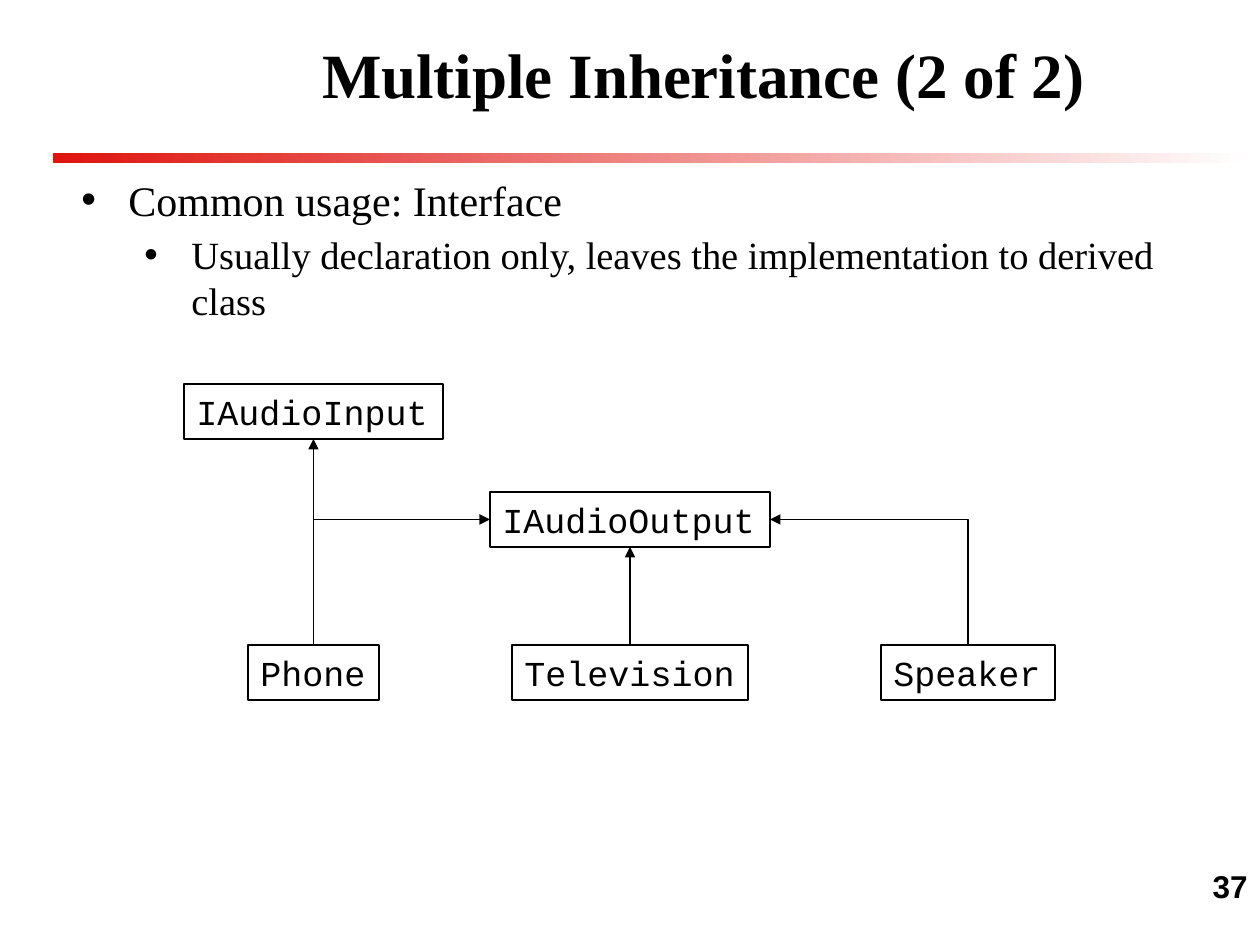
from dataclasses import dataclass

from lxml.etree import SubElement
from pptx import Presentation
from pptx.dml.color import RGBColor
from pptx.enum.shapes import MSO_CONNECTOR as Link, MSO_SHAPE as Shape
from pptx.enum.text import MSO_ANCHOR as Anchor, PP_ALIGN as Align
from pptx.oxml.ns import qn
from pptx.util import Pt

PX = 914400 / 126
BLACK = RGBColor(0x00, 0x00, 0x00)
WHITE = RGBColor(0xFF, 0xFF, 0xFF)
RED = RGBColor(0xDF, 0x14, 0x0F)
SERIF, SANS, MONO = "Times New Roman", "Arial", "Courier New"
BOX_HEIGHT = 55
TOP, LEFT, BOTTOM, RIGHT = range(4)  # connection sites of a rectangle


@dataclass(frozen=True)
class ClassBox:
    name: str
    left: int
    top: int
    width: int


@dataclass(frozen=True)
class Inheritance:
    interface: str
    site: int
    derived: str


@dataclass(frozen=True)
class Bullet:
    text: str
    size: int
    level: int
    margin: int


CLASSES = [
    ClassBox("IAudioInput", 184, 384, 259),
    ClassBox("IAudioOutput", 490, 492, 280),
    ClassBox("Phone", 248, 645, 131),
    ClassBox("Television", 512, 645, 236),
    ClassBox("Speaker", 881, 645, 174),
]
INHERITANCES = [
    Inheritance("IAudioInput", BOTTOM, "Phone"),
    Inheritance("IAudioOutput", LEFT, "Phone"),
    Inheritance("IAudioOutput", BOTTOM, "Television"),
    Inheritance("IAudioOutput", RIGHT, "Speaker"),
]
BULLETS = [
    Bullet("Common usage: Interface", 24, 0, 63),
    Bullet("Usually declaration only, leaves the implementation to derived class",
           22, 1, 126),
]


def px(*lengths: int) -> list[int]:
    return [round(length * PX) for length in lengths]


def write(paragraph, text: str, size: int, face: str, bold: bool = False) -> None:
    run = paragraph.add_run()
    run.text = text
    values = {"name": face, "size": Pt(size), "bold": bold}
    for attribute, value in values.items():
        setattr(run.font, attribute, value)
    run.font.color.rgb = BLACK


def add_text_frame(slide, left: int, top: int, width: int, height: int):
    frame = slide.shapes.add_textbox(*px(left, top, width, height)).text_frame
    frame.word_wrap = True
    return frame


def add_bullet(paragraph, bullet: Bullet) -> None:
    paragraph.level = bullet.level
    paragraph.space_before = Pt(3.6)
    write(paragraph, bullet.text, bullet.size, SERIF)
    properties = paragraph._p.get_or_add_pPr()
    margin, indent = px(bullet.margin, -47)
    properties.set("marL", str(margin))
    properties.set("indent", str(indent))
    SubElement(properties, qn("a:buFont"), typeface=SANS)
    SubElement(properties, qn("a:buChar"), char="•")


def add_class_box(slide, box: ClassBox):
    shape = slide.shapes.add_shape(
        Shape.RECTANGLE, *px(box.left, box.top, box.width, BOX_HEIGHT))
    shape.shadow.inherit = False
    shape.fill.solid()
    shape.fill.fore_color.rgb = WHITE
    shape.line.color.rgb = BLACK
    shape.line.width = Pt(0.75)
    frame = shape.text_frame
    frame.word_wrap = False
    frame.vertical_anchor = Anchor.TOP
    frame.paragraphs[0].alignment = Align.LEFT
    write(frame.paragraphs[0], box.name, 20, MONO)
    return shape


def add_inheritance(slide, link: Inheritance, boxes: dict) -> None:
    straight = link.site == BOTTOM
    kind = Link.STRAIGHT if straight else Link.ELBOW
    arrow = slide.shapes.add_connector(kind, 0, 0, 0, 0)
    arrow.begin_connect(boxes[link.interface], link.site)
    arrow.end_connect(boxes[link.derived], TOP)
    arrow.line.color.rgb = BLACK
    arrow.line.width = Pt(0.75)
    properties = arrow._element.spPr
    if not straight:  # a single corner
        properties.find(qn("a:prstGeom")).set("prst", "bentConnector2")
    SubElement(arrow.line._get_or_add_ln(), qn("a:headEnd"), type="triangle")
    SubElement(properties, qn("a:effectLst"))


def add_rule(slide) -> None:
    rule = slide.shapes.add_shape(Shape.RECTANGLE, *px(53, 153, 1197, 10))
    rule.shadow.inherit = False
    rule.line.fill.background()
    rule.fill.gradient()
    rule.fill.gradient_angle = 0
    for stop, position, color in zip(rule.fill.gradient_stops, (0, 1), (RED, WHITE)):
        stop.position = position
        stop.color.rgb = color


def main() -> None:
    deck = Presentation()
    deck.slide_width, deck.slide_height = px(1260, 945)
    slide = deck.slides.add_slide(deck.slide_layouts[6])

    # Title and the red rule below it
    add_rule(slide)
    title = add_text_frame(slide, 147, 0, 1113, 147)
    title.vertical_anchor = Anchor.MIDDLE
    title.paragraphs[0].alignment = Align.CENTER
    write(title.paragraphs[0], "Multiple Inheritance (2 of 2)", 36, SERIF, bold=True)

    # Bulleted text
    body = add_text_frame(slide, 53, 168, 1176, 672)
    for index, bullet in enumerate(BULLETS):
        add_bullet(body.add_paragraph() if index else body.paragraphs[0], bullet)

    # Class diagram
    boxes = {box.name: add_class_box(slide, box) for box in CLASSES}
    for link in INHERITANCES:
        add_inheritance(slide, link, boxes)

    # Page number
    page = add_text_frame(slide, 998, 861, 262, 32)
    page.paragraphs[0].alignment = Align.RIGHT
    write(page.paragraphs[0], "37", 18, SANS, bold=True)

    deck.save("out.pptx")


if __name__ == "__main__":
    main()
